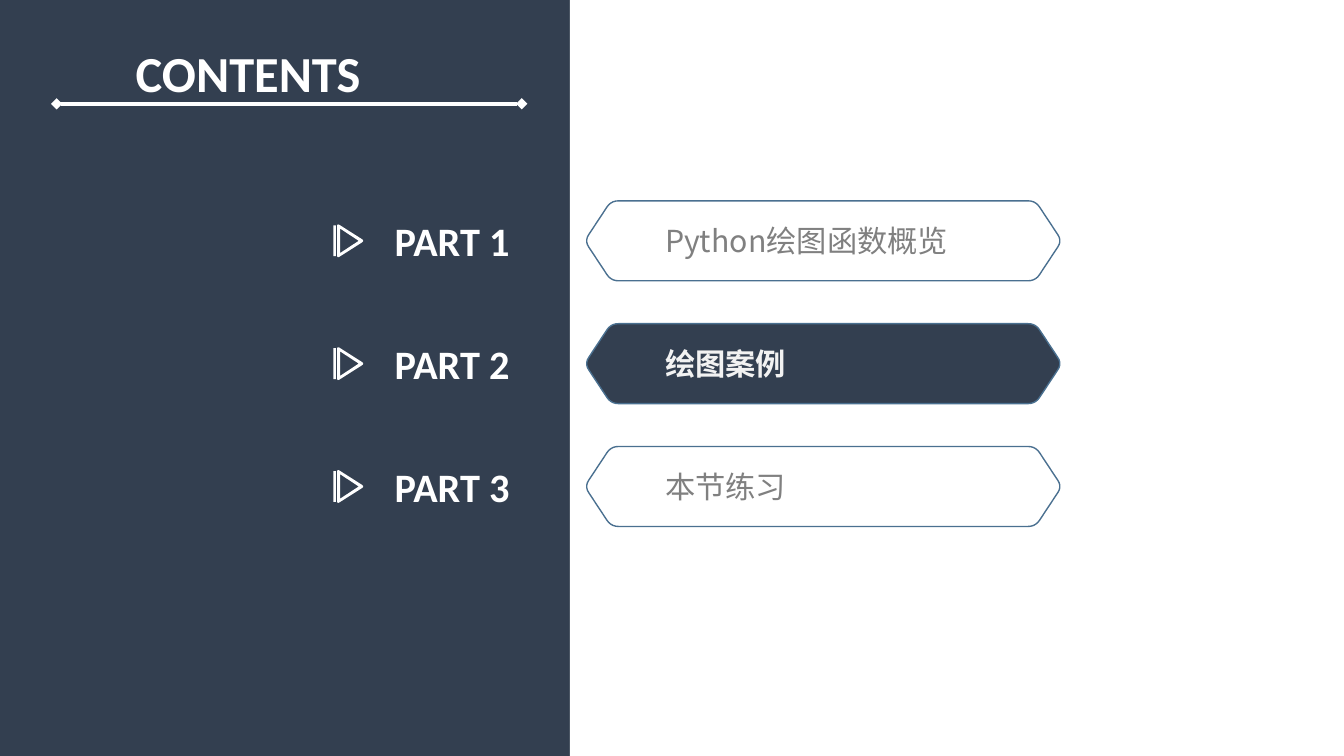
from dataclasses import dataclass
from math import dist

from lxml.etree import SubElement
from pptx import Presentation
from pptx.dml.color import RGBColor
from pptx.enum.shapes import MSO_CONNECTOR, MSO_SHAPE
from pptx.enum.text import MSO_ANCHOR, MSO_AUTO_SIZE, PP_ALIGN
from pptx.oxml.ns import qn
from pptx.shapes.autoshape import Shape
from pptx.slide import Slide
from pptx.text.text import TextFrame
from pptx.util import Cm, Pt

NAVY = RGBColor(0x33, 0x3F, 0x50)
STEEL = RGBColor(0x4A, 0x70, 0x90)
GRAY = RGBColor(0x80, 0x80, 0x80)
PALE = RGBColor(0xF2, 0xF2, 0xF2)
WHITE = RGBColor(0xFF, 0xFF, 0xFF)
LATIN_FONT = "Calibri"
CHINESE_FONT = "Noto Sans CJK SC"

SLIDE_WIDTH, SLIDE_HEIGHT = 25.4, 14.28
PANEL_LEFT = 10.77
FIRST_ROW, ROW_STEP = 4.55, 2.32
FRAME_LEFT, FRAME_RIGHT, FRAME_HEIGHT, FRAME_POINT = 11.05, 20.07, 1.51, 0.5

Point = tuple[float, float]


@dataclass(frozen=True)
class Part:
    label: str
    topic: str
    current: bool = False


@dataclass(frozen=True)
class TextStyle:
    font: str
    size: float
    color: RGBColor
    bold: bool = False


PARTS = [
    Part("PART 1", "Python绘图函数概览"),
    Part("PART 2", "绘图案例", current=True),
    Part("PART 3", "本节练习"),
]
TITLE_STYLE = TextStyle(LATIN_FONT, 27, WHITE, bold=True)
LABEL_STYLE = TextStyle(LATIN_FONT, 21.6, WHITE, bold=True)
TOPIC_STYLE = TextStyle(CHINESE_FONT, 16.2, GRAY)
CURRENT_STYLE = TextStyle(CHINESE_FONT, 16.2, PALE, bold=True)


def write(frame: TextFrame, text: str, style: TextStyle) -> None:
    frame.word_wrap = True
    frame.auto_size = MSO_AUTO_SIZE.NONE
    frame.vertical_anchor = MSO_ANCHOR.MIDDLE
    para = frame.paragraphs[0]
    para.alignment = PP_ALIGN.LEFT
    span = para.add_run()
    span.text = text
    span.font.name = style.font
    span.font.size = Pt(style.size)
    span.font.bold = style.bold
    span.font.color.rgb = style.color
    SubElement(span.font._element, qn("a:ea"), typeface=style.font)


def round_corners(corners: list[Point], radius: float, steps: int = 5) -> list[Point]:
    """Replace each corner with points on a quadratic curve."""
    outline = []
    for index, corner in enumerate(corners):
        ends = []
        for neighbour in (corners[index - 1], corners[(index + 1) % len(corners)]):
            share = radius / dist(corner, neighbour)
            ends.append([c + (n - c) * share for c, n in zip(corner, neighbour)])
        for step in range(steps + 1):
            t = step / steps
            x, y = ((1 - t) ** 2 * a + 2 * t * (1 - t) * c + t**2 * b
                    for a, c, b in zip(ends[0], corner, ends[1]))
            outline.append((x, y))
    return outline


def draw_outline(page: Slide, contours: list[list[Point]]) -> Shape:
    paths = [[(Cm(x), Cm(y)) for x, y in contour] for contour in contours]
    builder = page.shapes.build_freeform(*paths[0][0])
    builder.add_line_segments(paths[0][1:], close=True)
    for path in paths[1:]:
        builder.move_to(*path[0])
        builder.add_line_segments(path[1:], close=True)
    shape = builder.convert_to_shape()
    shape.shadow.inherit = False
    return shape


def draw_play_icon(page: Slide, middle: float) -> None:
    outer = [(6.37, middle - 0.33), (6.89, middle), (6.37, middle + 0.33)]
    inner = [(6.43, middle - 0.23), (6.43, middle + 0.23), (6.78, middle)]
    bar = [(6.3, middle - 0.29), (6.35, middle - 0.29),
           (6.35, middle + 0.29), (6.3, middle + 0.29)]
    icon = draw_outline(page, [round_corners(outer, 0.06), inner, bar])
    icon.fill.solid()
    icon.fill.fore_color.rgb = WHITE
    icon.line.fill.background()


def draw_topic_frame(page: Slide, middle: float, filled: bool) -> None:
    top, bottom = middle - FRAME_HEIGHT / 2, middle + FRAME_HEIGHT / 2
    inner_left, inner_right = FRAME_LEFT + FRAME_POINT, FRAME_RIGHT - FRAME_POINT
    corners = [(inner_left, top), (inner_right, top), (FRAME_RIGHT, middle),
               (inner_right, bottom), (inner_left, bottom), (FRAME_LEFT, middle)]
    frame = draw_outline(page, [round_corners(corners, 0.14)])
    if filled:
        frame.fill.solid()
        frame.fill.fore_color.rgb = NAVY
    else:
        frame.fill.background()
    frame.line.color.rgb = STEEL
    frame.line.width = Pt(0.75)


def draw_text(page: Slide, left: float, middle: float, width: float,
              height: float, text: str, style: TextStyle) -> None:
    box = page.shapes.add_textbox(Cm(left), Cm(middle - height / 2), Cm(width), Cm(height))
    write(box.text_frame, text, style)


def draw_part(page: Slide, part: Part, middle: float) -> None:
    draw_topic_frame(page, middle, part.current)
    draw_play_icon(page, middle)
    draw_text(page, 7.21, middle, 3.86, 1.17, part.label, LABEL_STYLE)
    style = CURRENT_STYLE if part.current else TOPIC_STYLE
    draw_text(page, 12.32, middle, 6.3, 0.94, part.topic, style)


def draw_title(page: Slide) -> None:
    title = page.shapes.title
    title.left, title.top, title.width, title.height = Cm(2.31), Cm(0.66), Cm(9.37), Cm(1.42)
    write(title.text_frame, "CONTENTS", TITLE_STYLE)
    rule = page.shapes.add_connector(
        MSO_CONNECTOR.STRAIGHT, Cm(1.07), Cm(1.96), Cm(9.86), Cm(1.96))
    rule.line.color.rgb = WHITE
    rule.line.width = Pt(2)
    properties = rule._element.spPr
    for end in ("a:headEnd", "a:tailEnd"):
        SubElement(properties.find(qn("a:ln")), qn(end), type="diamond")
    SubElement(properties, qn("a:effectLst"))


def draw_panel(page: Slide) -> None:
    panel = page.shapes.add_shape(
        MSO_SHAPE.RECTANGLE, Cm(PANEL_LEFT), 0, Cm(SLIDE_WIDTH - PANEL_LEFT), Cm(SLIDE_HEIGHT))
    panel.shadow.inherit = False
    panel.fill.solid()
    panel.fill.fore_color.rgb = WHITE
    panel.line.fill.background()


def main() -> None:
    deck = Presentation()
    deck.slide_width, deck.slide_height = Cm(SLIDE_WIDTH), Cm(SLIDE_HEIGHT)
    page = deck.slides.add_slide(deck.slide_layouts.get_by_name("Title Only"))
    page.background.fill.solid()
    page.background.fill.fore_color.rgb = NAVY
    draw_panel(page)
    draw_title(page)
    for row, part in enumerate(PARTS):
        draw_part(page, part, FIRST_ROW + row * ROW_STEP)
    deck.save("out.pptx")


if __name__ == "__main__":
    main()
